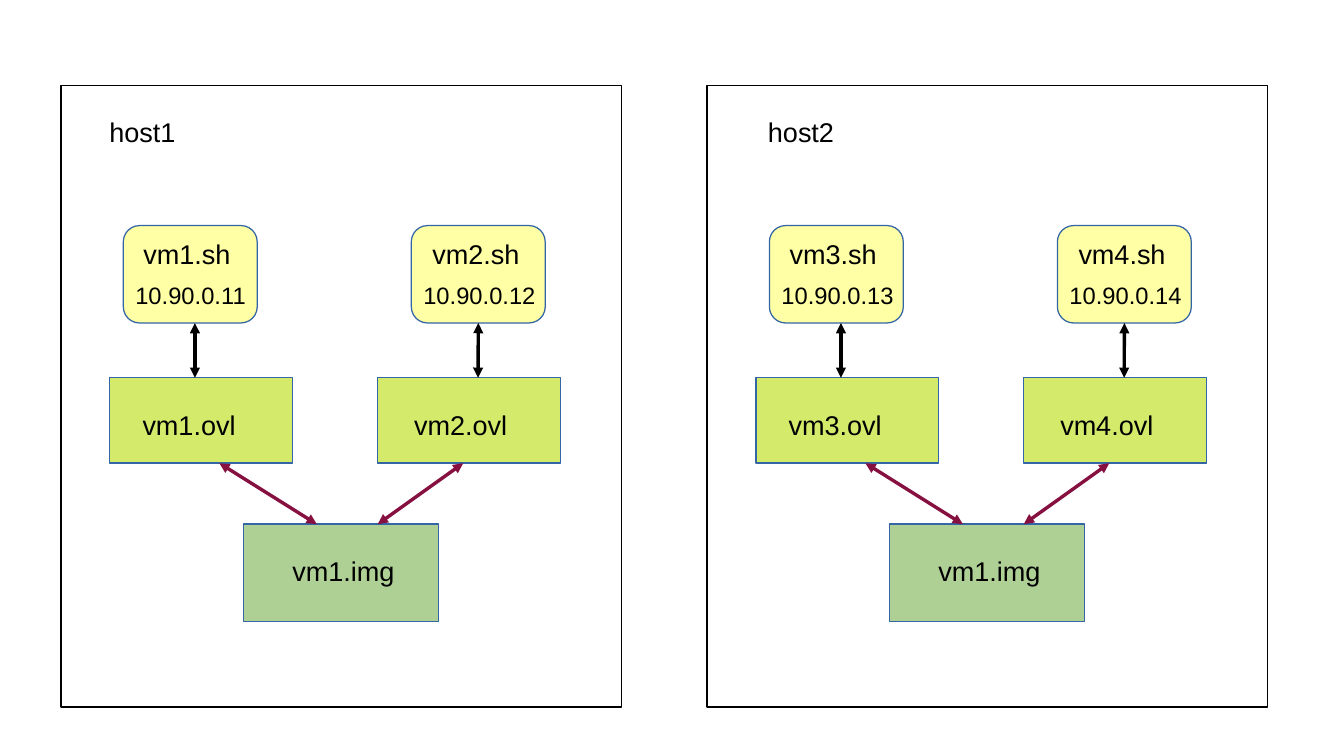
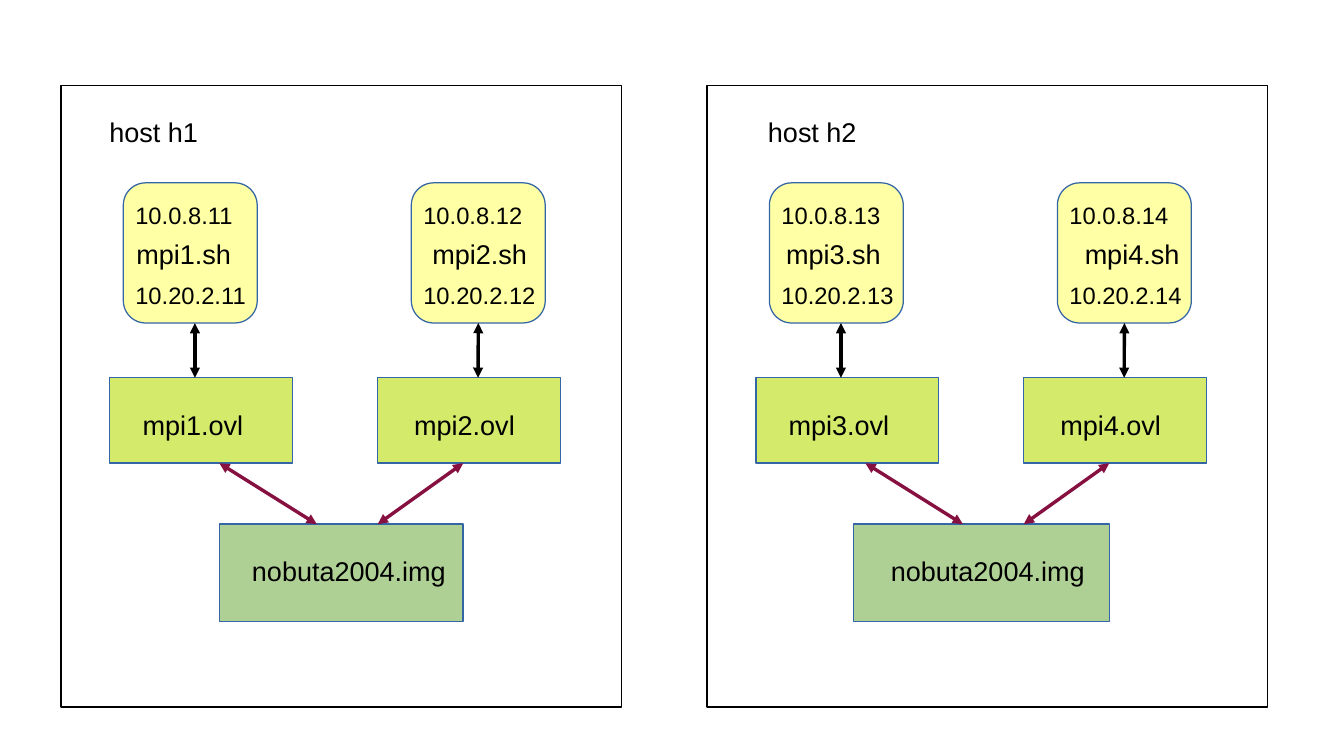
from pptx import Presentation
from pptx.dml.color import RGBColor
from pptx.enum.shapes import MSO_CONNECTOR, MSO_SHAPE
from pptx.oxml.ns import qn
from pptx.util import Cm, Pt
from lxml.etree import SubElement

BLACK = RGBColor(0x00, 0x00, 0x00)
WHITE = RGBColor(0xFF, 0xFF, 0xFF)
BLUE = RGBColor(0x34, 0x65, 0xA4)
YELLOW = RGBColor(0xFF, 0xFF, 0xA6)
LIME = RGBColor(0xD4, 0xEA, 0x6B)
GREEN = RGBColor(0xAF, 0xD0, 0x95)
WINE = RGBColor(0x86, 0x11, 0x41)

FONT = "Arial"
HOSTS = (1.27, 14.73)
SCRIPT_X = (1.3, 7.3)
DISK_X = (1.02, 6.6)
DISK_TEXT_X = (1.45, 7.11)
ARROW_X = (2.79, 8.69)
FORK_X = ((5.33 - 2.03, 5.33), (8.38, 6.6))
SCRIPT_END, DISK_TOP, DISK_END, IMAGE_TOP = 6.73, 7.87, 9.65, 10.92

SLIDES = (
    {
        "hosts": ("host1", "host2"), "stem": "vm", "top": 4.7,
        "nets": ((5.72, "10.90.0.1"),),
        "names": ((1.47, 7.49), (1.47, 7.49)),
        "image": "vm1.img", "images": ((3.81, 4.06, 4.57),) * 2,
    },
    {
        "hosts": ("host h1", "host h2"), "stem": "mpi", "top": 3.81,
        "nets": ((4.06, "10.0.8.1"), (5.72, "10.20.2.1")),
        "names": ((1.32, 7.49), (1.4, 7.62)),
        "image": "nobuta2004.img",
        "images": ((3.3, 5.08, 3.73), (3.05, 5.33, 3.58)),
    },
)


def add_box(slide, x, y, wide, high, fill, line=BLUE, width=0,
            kind=MSO_SHAPE.RECTANGLE):
    box = slide.shapes.add_shape(kind, Cm(x), Cm(y), Cm(wide), Cm(high))
    box.shadow.inherit = False
    box.fill.solid()
    box.fill.fore_color.rgb = fill
    box.line.color.rgb = line
    box.line.width = Pt(width)
    return box


def add_label(slide, x, y, text, size=16):
    label = slide.shapes.add_textbox(Cm(x), Cm(y), Cm(5.2), Cm(0.9))
    frame = label.text_frame
    frame.word_wrap = True
    frame.text = text
    font = frame.paragraphs[0].runs[0].font
    font.name = FONT
    font.size = Pt(size)
    font.color.rgb = BLACK


def add_arrow(slide, start, end, color):
    arrow = slide.shapes.add_connector(
        MSO_CONNECTOR.STRAIGHT, *(Cm(n) for n in start + end))
    arrow.line.color.rgb = color
    arrow.line.width = Pt(0)
    props = arrow._element.spPr
    for tag in ("a:headEnd", "a:tailEnd"):
        SubElement(props.find(qn("a:ln")), qn(tag), type="triangle")
    SubElement(props, qn("a:effectLst"))
    return arrow


def add_guest(slide, data, left, host, col):
    number = 2 * host + col + 1
    top = data["top"]
    script = add_box(slide, left + SCRIPT_X[col], top, 2.79,
                     SCRIPT_END - top, YELLOW,
                     kind=MSO_SHAPE.ROUNDED_RECTANGLE)
    add_label(slide, left + data["names"][host][col], 4.83,
              f"{data['stem']}{number}.sh")
    for y, net in data["nets"]:
        add_label(slide, left + SCRIPT_X[col], y, f"{net}{number}", 14)
    add_box(slide, left + DISK_X[col], DISK_TOP, 3.81,
            DISK_END - DISK_TOP, LIME)
    add_label(slide, left + DISK_TEXT_X[col], 8.38,
              f"{data['stem']}{number}.ovl")
    x = left + ARROW_X[col]
    arrow = add_arrow(slide, (x, SCRIPT_END), (x, DISK_TOP), BLACK)
    if abs(script.left + script.width / 2 - Cm(x)) < Cm(0.05):
        arrow.begin_connect(script, 2)
    start, end = FORK_X[col]
    add_arrow(slide, (left + start, DISK_END), (left + end, IMAGE_TOP), WINE)


def add_host(slide, data, host):
    left = HOSTS[host]
    add_box(slide, left, 1.78, 11.68, 12.95, WHITE, BLACK, 1)
    add_label(slide, left + (0.76, 1.02)[host], 2.29, data["hosts"][host])
    x, wide, text_x = data["images"][host]
    add_box(slide, left + x, IMAGE_TOP, wide, 2.03, GREEN)
    add_label(slide, left + text_x, 11.43, data["image"])
    for col in range(2):
        add_guest(slide, data, left, host, col)


def main():
    deck = Presentation()
    deck.slide_width = Cm(28)
    deck.slide_height = Cm(15.75)
    for data in SLIDES:
        slide = deck.slides.add_slide(deck.slide_layouts[6])
        for host in range(2):
            add_host(slide, data, host)
    deck.save("out.pptx")


if __name__ == "__main__":
    main()
